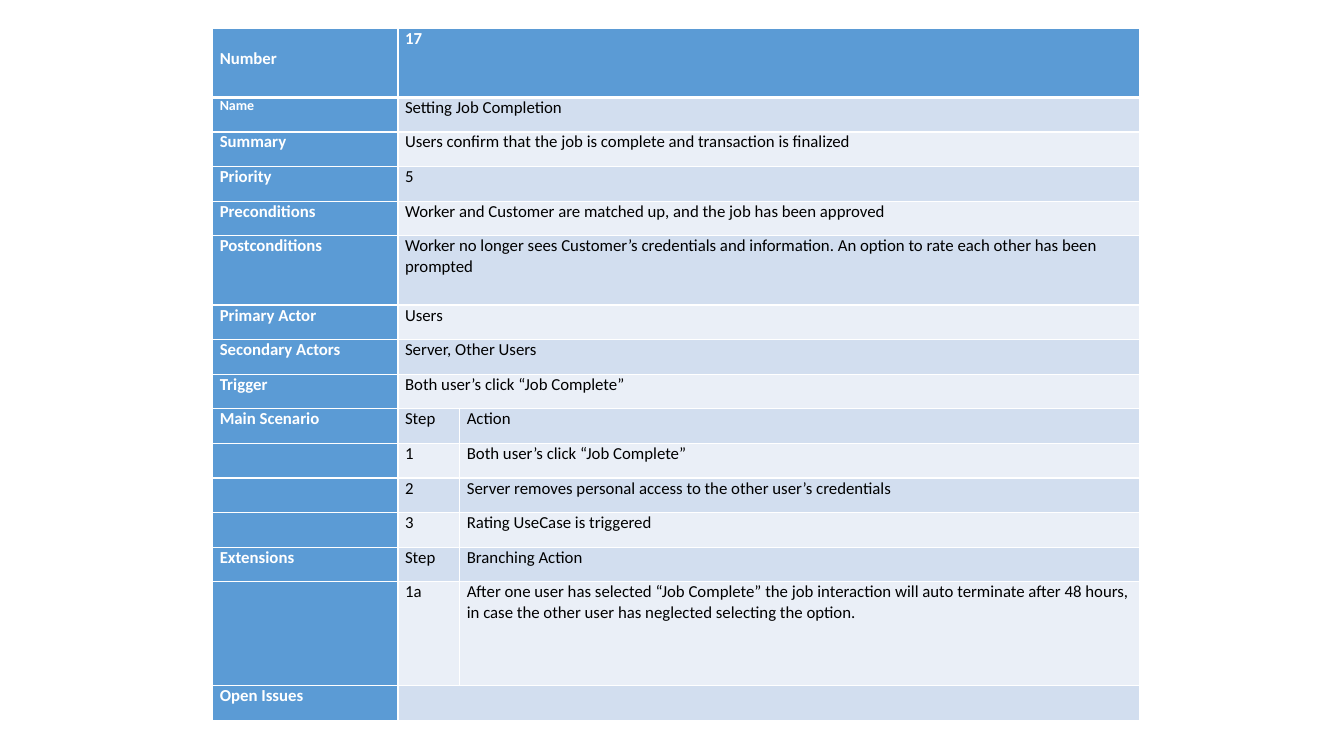
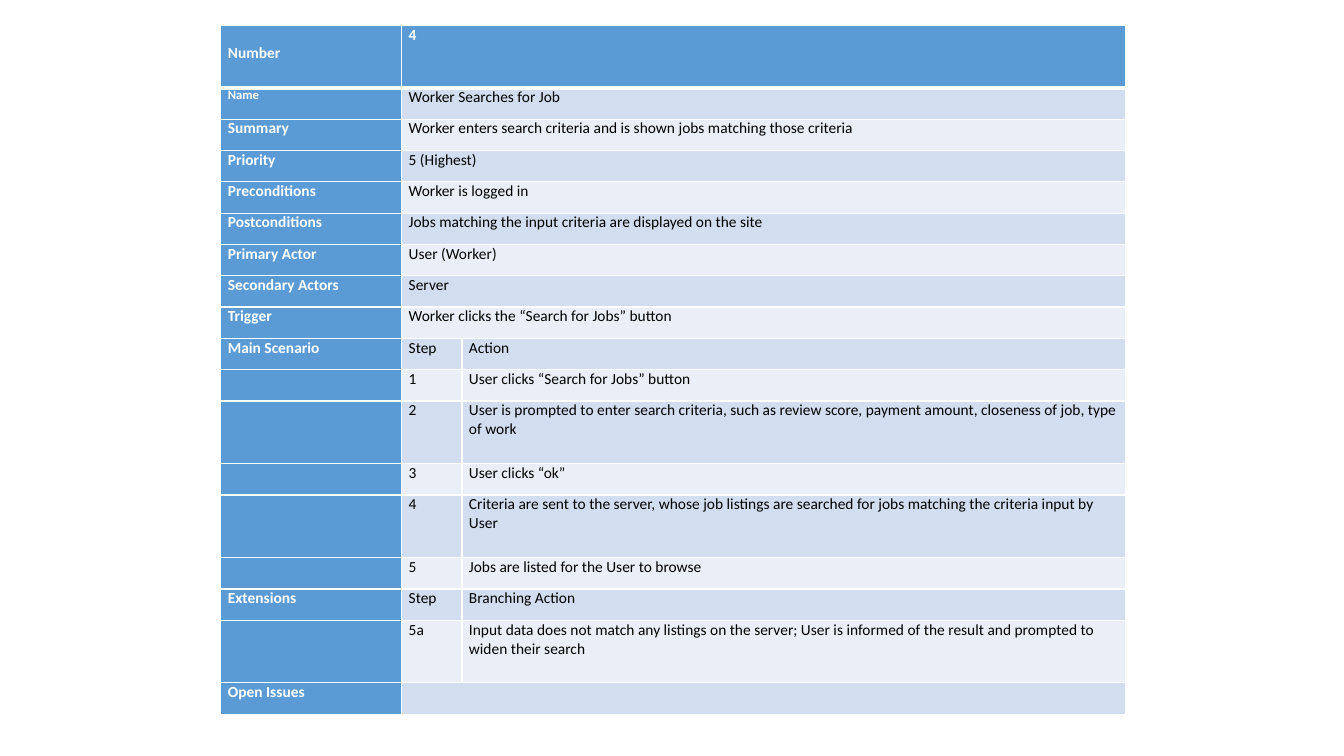
from lxml import etree
from pptx import Presentation
from pptx import util as u
from pptx.dml.color import RGBColor
from pptx.enum import text
from pptx.oxml import ns

# Shared look
BLUE = RGBColor(0x5B, 0x9B, 0xD5)
BAND_DARK = RGBColor(0xD2, 0xDE, 0xEF)
BAND_LIGHT = RGBColor(0xEA, 0xEF, 0xF7)
WHITE = RGBColor(0xFF, 0xFF, 0xFF)
BLACK = RGBColor(0x00, 0x00, 0x00)
FONT = "Calibri"
LINE_HEIGHT = 1.22
COLUMN_SHARES = (0.2, 1 / 15, 11 / 15)
FIELDS = ("Number", "Name", "Summary", "Priority", "Preconditions",
          "Postconditions", "Primary Actor", "Secondary Actors", "Trigger")

# Use cases: box is left, top, width, height; row_units lists the taller rows
USE_CASES = (
    {
        "box": (2.11, 0.28, 9.19, 6.87),
        "size": 12,
        "row_units": {0: 2, 5: 2, 14: 3},
        "values": (
            "17",
            "Setting Job Completion",
            "Users confirm that the job is complete and transaction is finalized",
            "5",
            "Worker and Customer are matched up, and the job has been approved",
            "Worker no longer sees Customer’s credentials and information. "
            "An option to rate each other has been prompted",
            "Users",
            "Server, Other Users",
            "Both user’s click “Job Complete”",
        ),
        "scenario": (
            "Both user’s click “Job Complete”",
            "Server removes personal access to the other user’s credentials",
            "Rating UseCase is triggered",
        ),
        "extension": (
            "1a",
            "After one user has selected “Job Complete” the job interaction will "
            "auto terminate after 48 hours, in case the other user has neglected "
            "selecting the option.",
        ),
    },
    {
        "box": (2.19, 0.25, 8.97, 6.84),
        "size": 11,
        "row_units": {0: 2, 11: 2, 13: 2, 16: 2},
        "values": (
            "4",
            "Worker Searches for Job",
            "Worker enters search criteria and is shown jobs matching those criteria",
            "5 (Highest)",
            "Worker is logged in",
            "Jobs matching the input criteria are displayed on the site",
            "User (Worker)",
            "Server",
            "Worker clicks the “Search for Jobs” button",
        ),
        "scenario": (
            "User clicks “Search for Jobs” button",
            "User is prompted to enter search criteria, such as review score, "
            "payment amount, closeness of job, type of work",
            "User clicks “ok”",
            "Criteria are sent to the server, whose job listings are searched "
            "for jobs matching the criteria input by User",
            "Jobs are listed for the User to browse",
        ),
        "extension": (
            "5a",
            "Input data does not match any listings on the server; User is "
            "informed of the result and prompted to widen their search",
        ),
    },
)


def table_rows(case):
    """Return (label, value, action) rows; an action of None merges the value."""
    rows = [(label, value, None) for label, value in zip(FIELDS, case["values"])]
    rows.append(("Main Scenario", "Step", "Action"))
    rows += [("", str(n), action) for n, action in enumerate(case["scenario"], 1)]
    rows.append(("Extensions", "Step", "Branching Action"))
    rows.append(("", *case["extension"]))
    rows.append(("Open Issues", "", None))
    return rows


def set_borders(cell, widths):
    tc_pr = cell._tc.get_or_add_tcPr()
    for side in ("L", "R", "T", "B"):
        ln = etree.SubElement(tc_pr, ns.qn(f"a:ln{side}"),
                              w=str(u.Pt(widths.get(side, 1))))
        fill = etree.SubElement(ln, ns.qn("a:solidFill"))
        etree.SubElement(fill, ns.qn("a:srgbClr"), val=str(WHITE))


def fill_cell(cell, content, fill, size, strong):
    margins = {"margin_left": 0.07, "margin_right": 0.07,
               "margin_top": 0, "margin_bottom": 0}
    for name, value in margins.items():
        setattr(cell, name, u.Inches(value))
    cell.vertical_anchor = text.MSO_ANCHOR.TOP
    cell.fill.solid()
    cell.fill.fore_color.rgb = fill

    p = cell.text_frame.paragraphs[0]
    if not content:
        # An empty cell keeps the small type, so its row does not grow
        etree.SubElement(p._p, ns.qn("a:endParaRPr"), sz=str(size * 100))
        return
    r = p.add_run()
    r.text = content
    for name, value in {"name": FONT, "size": u.Pt(size), "bold": strong}.items():
        setattr(r.font, name, value)
    r.font.color.rgb = WHITE if strong else BLACK


def add_use_case(prs, case):
    s = prs.slides.add_slide(prs.slide_layouts[6])
    rows = table_rows(case)
    left, top, width, height = case["box"]
    size = case["size"]
    table = s.shapes.add_table(len(rows), len(COLUMN_SHARES), u.Inches(left),
                               u.Inches(top), u.Inches(width),
                               u.Inches(height)).table

    # Grid
    for column, share in zip(table.columns, COLUMN_SHARES):
        column.width = u.Inches(width * share)
    units = [case["row_units"].get(i, 1) for i in range(len(rows))]
    for row, unit in zip(table.rows, units):
        row.height = u.Inches(height * unit / sum(units))

    # Cells
    for i, row in enumerate(rows):
        band = BAND_DARK if i % 2 else BAND_LIGHT
        widths = {0: {"B": 3}, 1: {"T": 3}}.get(i, {})
        for j, content in enumerate(row):
            cell = table.cell(i, j)
            strong = i == 0 or j == 0
            set_borders(cell, widths)
            fill_cell(cell, content, BLUE if strong else band,
                      size - 2 if (i, j) == (1, 0) else size, strong)
        if row[2] is None:
            table.cell(i, 1).merge(table.cell(i, 2))

    # The first label sits one line lower
    table.cell(0, 0).margin_top = u.Pt(size * LINE_HEIGHT)


def main():
    prs = Presentation()
    prs.slide_width, prs.slide_height = u.Inches(13.33), u.Inches(7.5)
    for case in USE_CASES:
        add_use_case(prs, case)
    prs.save("out.pptx")


if __name__ == "__main__":
    main()
